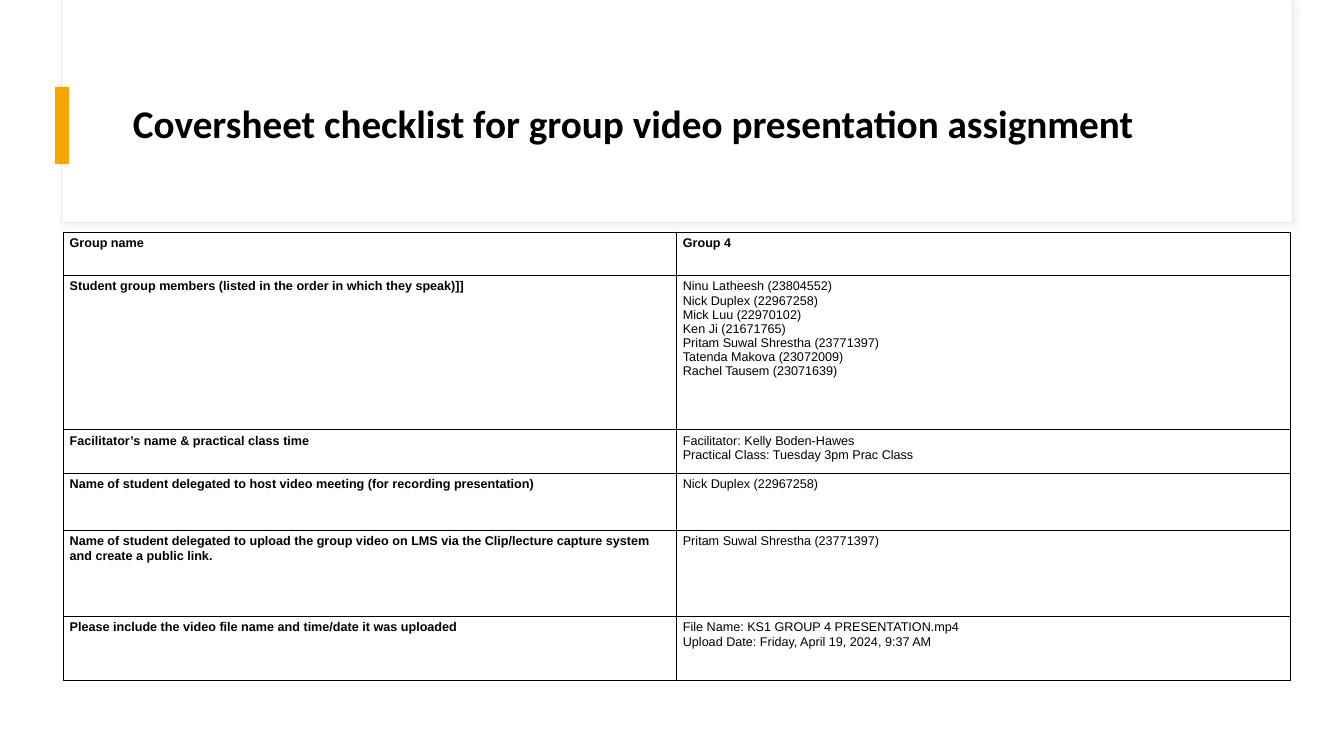
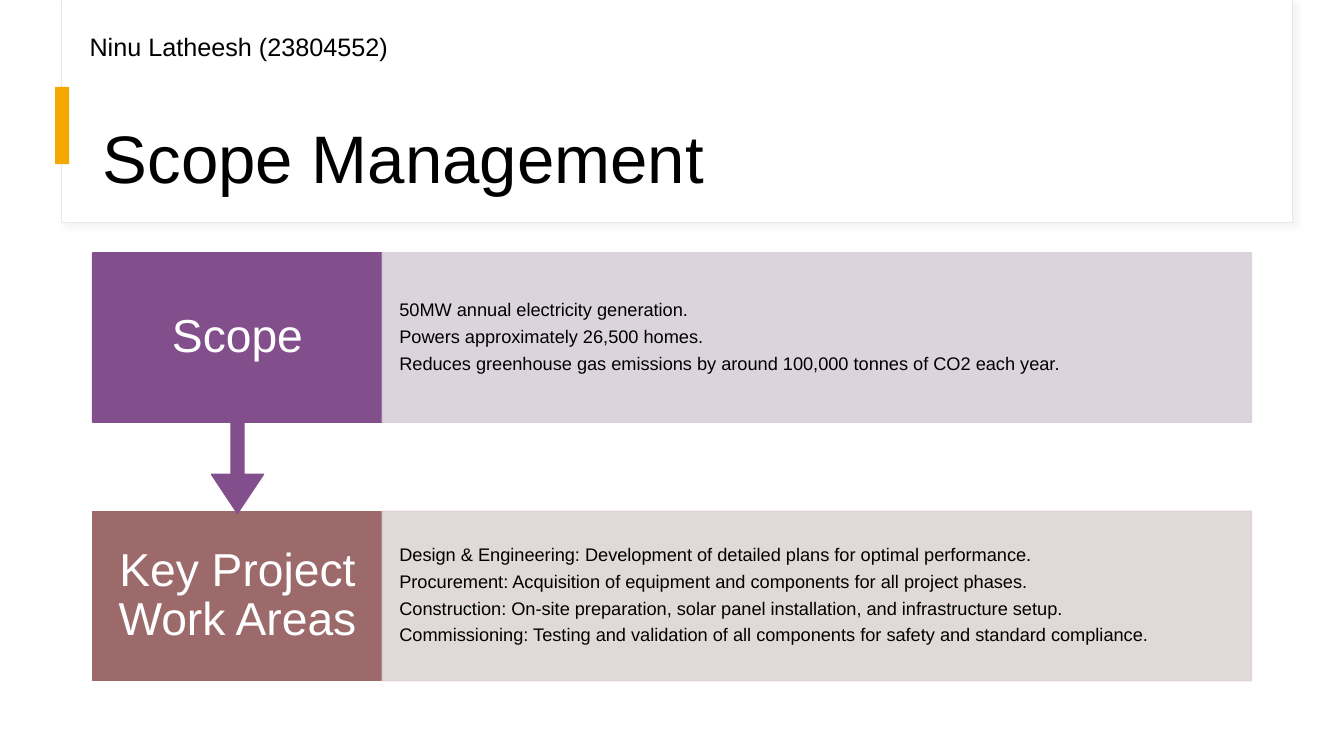
"""Build a group coversheet slide and a scope management slide."""
from dataclasses import dataclass

import lxml.etree
import pptx
import pptx.dml.color
import pptx.enum.shapes
import pptx.enum.text
import pptx.oxml.ns
import pptx.util

Pt = pptx.util.Pt
RGB = pptx.dml.color.RGBColor
qn = pptx.oxml.ns.qn
SHAPE = pptx.enum.shapes.MSO_SHAPE
ALIGN = pptx.enum.text.PP_ALIGN
ANCHOR = pptx.enum.text.MSO_ANCHOR

BLACK = RGB(0x00, 0x00, 0x00)
WHITE = RGB(0xFF, 0xFF, 0xFF)
AMBER = RGB(0xF5, 0xA7, 0x00)
FRAME = RGB(0xE9, 0xE9, 0xE9)
SHADOW = RGB(0xD9, 0xD9, 0xD9)
PURPLE = RGB(0x82, 0x4F, 0x8C)
LILAC = RGB(0xD8, 0xD0, 0xDA)
BROWN = RGB(0x9C, 0x6A, 0x6A)
BEIGE = RGB(0xDE, 0xD4, 0xD4)

STEP_X, STEP_Y, STEP_PITCH = 66.2, 180.6, 184.6
LABEL_W, DETAIL_W, STEP_H, CALLOUT_H = 206.9, 620.8, 121, 186.1


@dataclass(frozen=True)
class Box:
    x: float
    y: float
    w: float
    h: float

    def emu(self) -> tuple:
        return tuple(Pt(v) for v in (self.x, self.y, self.w, self.h))


@dataclass(frozen=True)
class Style:
    size: float
    color: RGB = BLACK
    bold: bool = False
    font: str = "Arial"
    align: ALIGN = ALIGN.LEFT
    spacing: float = 1.0
    after: float = 0


@dataclass(frozen=True)
class Row:
    height: float
    label: str
    values: tuple[str, ...]
    bold_values: bool = False


@dataclass(frozen=True)
class Step:
    label: str
    details: tuple[str, ...]
    color: RGB
    tint: RGB
    has_arrow: bool = False


COVER_TITLE = Style(28, bold=True, font="Calibri", spacing=0.9)
TOPIC_TITLE = Style(48, spacing=0.9)
SPEAKER = Style(18)
STEP_LABEL = Style(33, WHITE, align=ALIGN.CENTER, spacing=0.9)
STEP_DETAIL = Style(13, spacing=0.9, after=5)

ROWS = (
    Row(31, "Group name", ("Group 4",), True),
    Row(110.2, "Student group members (listed in the order in which they speak)]]", (
        "Ninu Latheesh (23804552)",
        "Nick Duplex (22967258)",
        "Mick Luu (22970102)",
        "Ken Ji (21671765)",
        "Pritam Suwal Shrestha (23771397)",
        "Tatenda Makova (23072009)",
        "Rachel Tausem (23071639)",
    )),
    Row(31, "Facilitator’s name & practical class time", (
        "Facilitator: Kelly Boden-Hawes",
        "Practical Class: Tuesday 3pm Prac Class",
    )),
    Row(41, "Name of student delegated to host video meeting (for recording presentation)",
        ("Nick Duplex (22967258)",)),
    Row(61.4, "Name of student delegated to upload the group video on LMS via the "
        "Clip/lecture capture system and create a public link.",
        ("Pritam Suwal Shrestha (23771397)",)),
    Row(46, "Please include the video file name and time/date it was uploaded", (
        "File Name: KS1 GROUP 4 PRESENTATION.mp4",
        "Upload Date: Friday, April 19, 2024, 9:37 AM",
    )),
)

STEPS = (
    Step("Scope", (
        "50MW annual electricity generation.",
        "Powers approximately 26,500 homes.",
        "Reduces greenhouse gas emissions by around 100,000 tonnes of CO2 each year.",
    ), PURPLE, LILAC, True),
    Step("Key Project Work Areas", (
        "Design & Engineering: Development of detailed plans for optimal performance.",
        "Procurement: Acquisition of equipment and components for all project phases.",
        "Construction: On-site preparation, solar panel installation, and infrastructure setup.",
        "Commissioning: Testing and validation of all components for safety and "
        "standard compliance.",
    ), BROWN, BEIGE),
)


def write(tf, lines: tuple[str, ...], style: Style) -> None:
    for i, line in enumerate(lines):
        p = tf.add_paragraph() if i else tf.paragraphs[0]
        p.alignment = style.align
        p.line_spacing = style.spacing
        p.space_before = Pt(0)
        p.space_after = Pt(style.after)
        r = p.add_run()
        r.text = line
        r.font.name = style.font
        r.font.size = Pt(style.size)
        r.font.bold = style.bold
        r.font.color.rgb = style.color


def set_insets(target, dx: float, dy: float) -> None:
    target.margin_left = target.margin_right = Pt(dx)
    target.margin_top = target.margin_bottom = Pt(dy)


def add_box(s, box: Box, fill: RGB, line: RGB | None = None, width: float = 1,
            kind: SHAPE = SHAPE.RECTANGLE):
    sp = s.shapes.add_shape(kind, *box.emu())
    sp.shadow.inherit = False
    sp.fill.solid()
    sp.fill.fore_color.rgb = fill
    if line is None:
        sp.line.fill.background()
    else:
        sp.line.color.rgb = line
        sp.line.width = Pt(width)
    return sp


def set_alpha(parent, percent: int) -> None:
    for clr in list(parent.iter(qn("a:srgbClr"))):
        lxml.etree.SubElement(clr, qn("a:alpha"), val=str(percent * 1000))


def add_shadow(sp) -> None:
    effects = sp.element.spPr.find(qn("a:effectLst"))
    shadow = lxml.etree.SubElement(
        effects, qn("a:outerShdw"), blurRad=str(Pt(4)), dist=str(Pt(3)),
        dir=str(45 * 60000), algn="tl", rotWithShape="0")
    lxml.etree.SubElement(shadow, qn("a:srgbClr"), val=str(SHADOW))
    set_alpha(shadow, 30)


def decorate_layout(s) -> None:
    frame = add_box(s, Box(44, 0, 879, 159), WHITE, FRAME, 0.75)
    add_shadow(frame)
    panel = add_box(s, Box(44.5, 0, 878.4, 158.4), WHITE)
    accent = add_box(s, Box(39.4, 62, 10.1, 55.2), AMBER)
    tree = s.slide_layout.shapes.element
    for i, sp in enumerate((frame, panel, accent)):
        sp.element.nvSpPr.cNvPr.set("id", str(100 + i))
        tree.insert(2 + i, sp.element)


def set_title(s, text: str, box: Box, style: Style, anchor: ANCHOR) -> None:
    sp = s.shapes.title
    sp.left, sp.top, sp.width, sp.height = box.emu()
    tf = sp.text_frame
    tf.auto_size = pptx.enum.text.MSO_AUTO_SIZE.NONE
    tf.vertical_anchor = anchor
    set_insets(tf, 7.2, 3.6)
    write(tf, (text,), style)


def format_cell(cell, lines: tuple[str, ...], bold: bool) -> None:
    set_insets(cell, 4.3, 2.9)
    tc_pr = cell._tc.get_or_add_tcPr()
    for side in ("lnL", "lnR", "lnT", "lnB"):
        ln = lxml.etree.SubElement(tc_pr, qn(f"a:{side}"), w=str(Pt(0.75)))
        fill = lxml.etree.SubElement(ln, qn("a:solidFill"))
        lxml.etree.SubElement(fill, qn("a:srgbClr"), val=str(BLACK))
    cell.fill.background()
    write(cell.text_frame, lines, Style(9, bold=bold))


def add_checklist(s, rows: tuple[Row, ...]) -> None:
    box = Box(45.5, 165.8, 876, sum(row.height for row in rows))
    table = s.shapes.add_table(len(rows), 2, *box.emu()).table
    table.first_row = table.horz_banding = False
    for i, row in enumerate(rows):
        table.rows[i].height = Pt(row.height)
        format_cell(table.cell(i, 0), (row.label,), True)
        format_cell(table.cell(i, 1), row.values, row.bold_values)


def add_step(s, step: Step, y: float) -> None:
    kind = SHAPE.DOWN_ARROW_CALLOUT if step.has_arrow else SHAPE.RECTANGLE
    height = CALLOUT_H if step.has_arrow else STEP_H
    label = add_box(s, Box(STEP_X, y, LABEL_W, height), step.color, step.color, kind=kind)
    if step.has_arrow:
        for i, value in enumerate((0.05, 0.1, 0.15, 0.65)):
            label.adjustments[i] = value
    detail = add_box(s, Box(STEP_X + LABEL_W, y, DETAIL_W, STEP_H), step.tint, step.tint)
    set_alpha(detail.element.spPr, 90)
    for sp, lines, style, dx, dy in (
        (label, (step.label,), STEP_LABEL, 14.4, 18.7),
        (detail, step.details, STEP_DETAIL, 12.2, 13),
    ):
        tf = sp.text_frame
        tf.word_wrap = True
        tf.vertical_anchor = ANCHOR.MIDDLE
        set_insets(tf, dx, dy)
        write(tf, lines, style)


def add_speaker(s, name: str) -> None:
    tf = s.shapes.add_textbox(*Box(56.9, 18.7, 232.6, 28.8).emu()).text_frame
    tf.word_wrap = True
    write(tf, (name,), SPEAKER)


def main() -> None:
    prs = pptx.Presentation()
    prs.slide_width, prs.slide_height = Pt(960), Pt(540)
    layout = prs.slide_layouts[5]

    s = prs.slides.add_slide(layout)
    decorate_layout(s)
    set_title(s, "Coversheet checklist for group video presentation assignment",
              Box(87.8, 43.2, 800.6, 92.9), COVER_TITLE, ANCHOR.MIDDLE)
    add_checklist(s, ROWS)

    s = prs.slides.add_slide(layout)
    set_title(s, "Scope Management", Box(66.2, 54, 827.3, 91.4), TOPIC_TITLE, ANCHOR.BOTTOM)
    for i, step in reversed(list(enumerate(STEPS))):
        add_step(s, step, STEP_Y + i * STEP_PITCH)
    add_speaker(s, "Ninu Latheesh (23804552)")

    prs.save("out.pptx")


if __name__ == "__main__":
    main()
